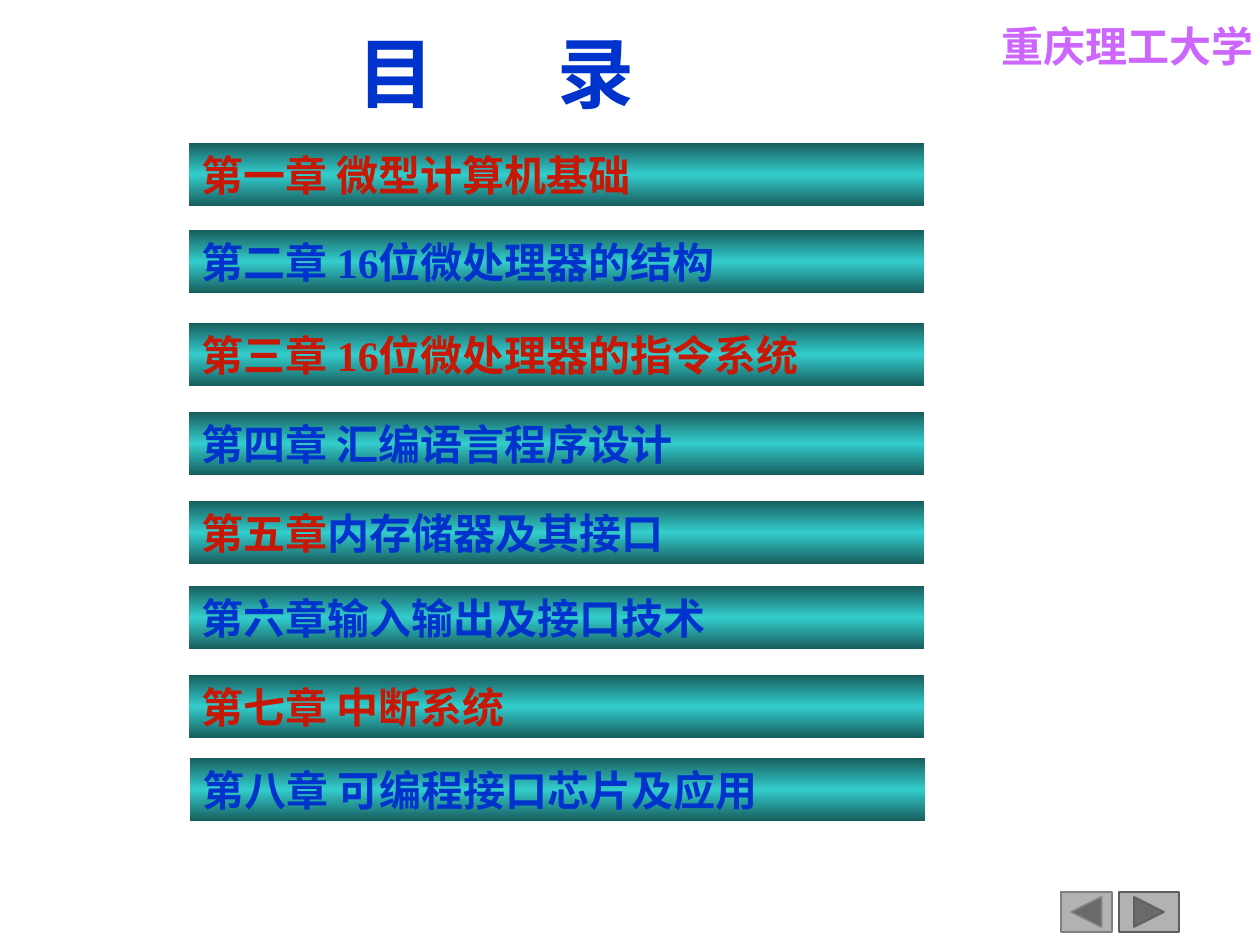
"""Build the contents slide listing the eight chapters of a microcomputer course."""
from copy import deepcopy

from lxml.etree import SubElement
from pptx import Presentation
from pptx.dml.color import RGBColor
from pptx.enum.shapes import MSO_SHAPE
from pptx.enum.text import MSO_ANCHOR, PP_ALIGN
from pptx.oxml.ns import qn
from pptx.util import Emu, Pt

THEME = {
    "red": RGBColor.from_string("C71705"),
    "blue": RGBColor.from_string("0033CC"),
    "violet": RGBColor.from_string("CC66FF"),
    "edge": RGBColor.from_string("185E5E"),
    "middle": RGBColor.from_string("33CCCC"),
    "button": RGBColor.from_string("B2B2B2"),
    "back_line": RGBColor.from_string("808080"),
    "next_line": RGBColor.from_string("5F5F5F"),
    "body": Pt(24),
    "title": Pt(44),
    "latin": "Times New Roman",
    "header": "Arial",
}
PX = 914400 / 126


def px(*values):
    return [Emu(round(v * PX)) for v in values]


def write(sp, runs, size="body", font="latin", wrap=True):
    tf = sp.text_frame
    tf.word_wrap = wrap
    tf.vertical_anchor = MSO_ANCHOR.MIDDLE
    p = tf.paragraphs[0]
    p.alignment = PP_ALIGN.LEFT
    for text, color in runs:
        r = p.add_run()
        r.text = text
        r.font.color.rgb = THEME[color]
        for name, value in {"size": THEME[size], "name": THEME[font], "bold": True}.items():
            setattr(r.font, name, value)
    return p


prs = Presentation()
prs.slide_width, prs.slide_height = px(1260, 945)
s = prs.slides.add_slide(prs.slide_layouts[6])

buttons = [
    (MSO_SHAPE.ACTION_BUTTON_BACK_OR_PREVIOUS, 1061, 51, "back_line"),
    (MSO_SHAPE.ACTION_BUTTON_FORWARD_OR_NEXT, 1119, 60, "next_line"),
]
for kind, left, width, line in buttons:
    sp = s.shapes.add_shape(kind, *px(left, 892, width, 40))
    sp.shadow.inherit = False
    sp.fill.solid()
    sp.fill.fore_color.rgb = THEME["button"]
    sp.line.color.rgb = THEME[line]
    sp.line.width = Pt(1)

write(s.shapes.add_textbox(*px(989, 14, 277, 63)), [("重庆理工大学", "violet")], font="header", wrap=False)

chapters = [
    (189, 143, [("第一章 微型计算机基础", "red")]),
    (189, 230, [("第二章 16位微处理器的结构", "blue")]),
    (189, 323, [("第三章 16位微处理器的指令系统", "red")]),
    (189, 412, [("第四章 汇编语言程序设计", "blue")]),
    (189, 501, [("第五章", "red"), ("内存储器及其接口", "blue")]),
    (189, 586, [("第六章输入输出及接口技术", "blue")]),
    (189, 675, [("第七章 中断系统", "red")]),
    (190, 758, [("第八章 可编程接口芯片及应用", "blue")]),
]
for left, top, runs in chapters:
    sp = s.shapes.add_shape(MSO_SHAPE.RECTANGLE, *px(left, top, 735, 63))
    sp.shadow.inherit = False
    sp.line.fill.background()
    sp.fill.gradient()
    sp.fill.gradient_angle = 90
    stops = sp.element.spPr.find(".//" + qn("a:gsLst"))
    stops.append(deepcopy(stops[0]))
    for stop, position, color in zip(sp.fill.gradient_stops, (0, 0.5, 1), ("edge", "middle", "edge")):
        stop.position = position
        stop.color.rgb = THEME[color]
    write(sp, runs)

p = write(s.shapes.add_textbox(*px(260, 20, 525, 104)), [("\t目\t录", "blue")], size="title")
tabs = SubElement(p._p.get_or_add_pPr(), qn("a:tabLst"))
for position in px(85, 285):
    SubElement(tabs, qn("a:tab"), pos=str(position), algn="l")

prs.save("out.pptx")
